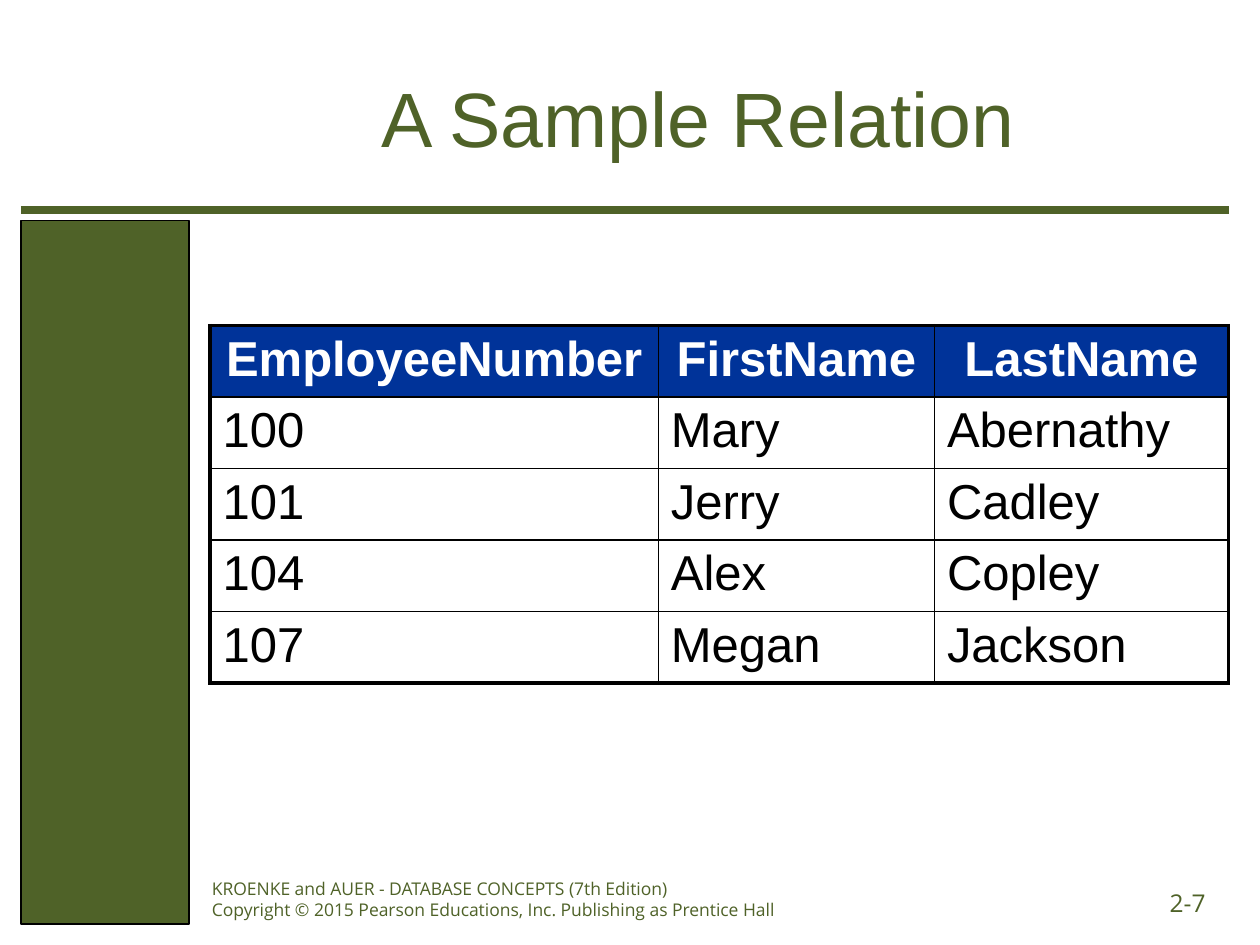
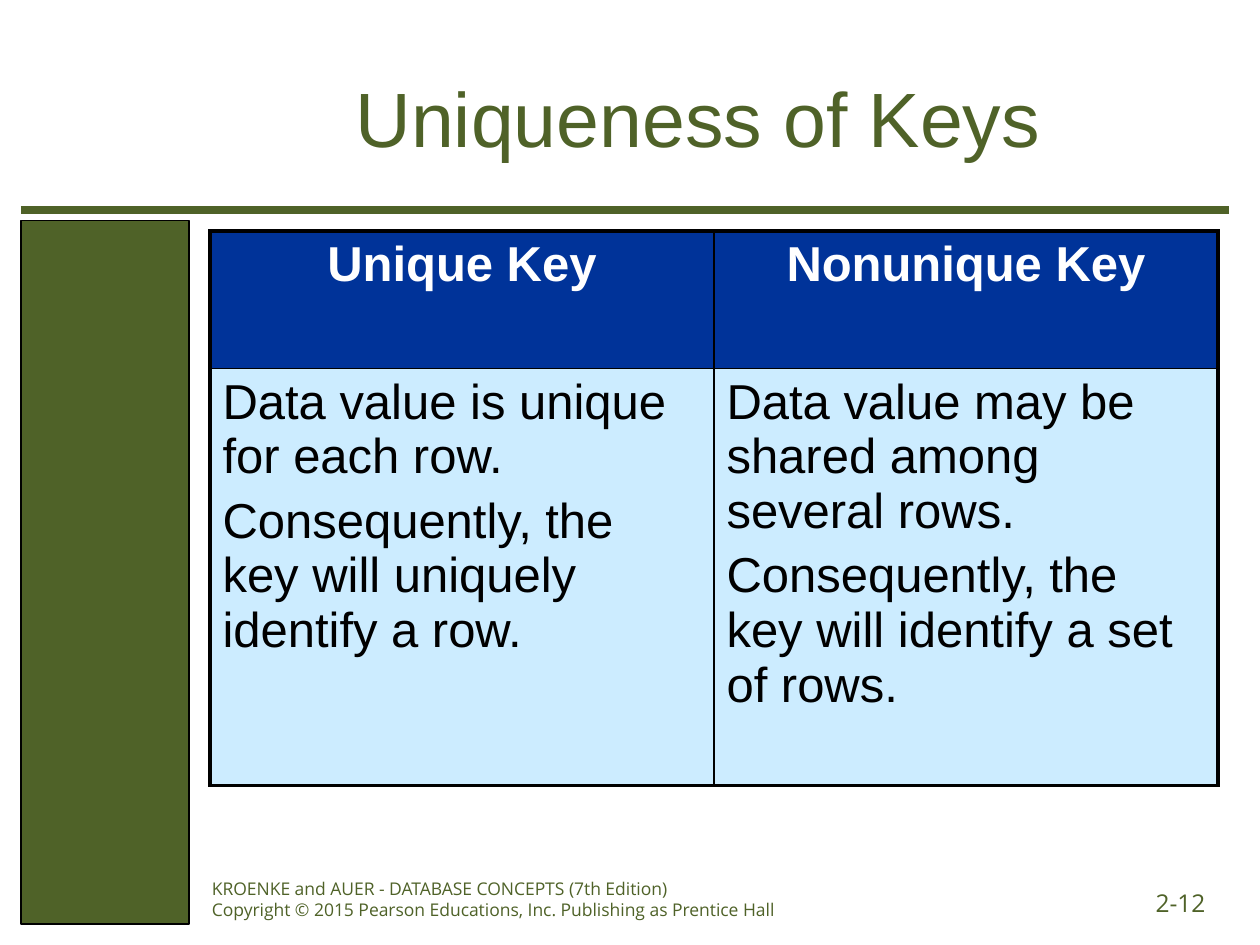
from dataclasses import dataclass
from typing import Any

from lxml.etree import SubElement
from pptx import Presentation
from pptx.dml.color import RGBColor
from pptx.enum.shapes import MSO_CONNECTOR as Connector, MSO_SHAPE as Shape
from pptx.enum.text import MSO_ANCHOR as Anchor, MSO_AUTO_SIZE as AutoSize, PP_ALIGN as Align
from pptx.oxml.ns import qn
from pptx.util import Inches, Pt

UNIT = Inches(10) / 120
GREEN, NAVY, SKY, WHITE, BLACK = "4F6228", "003399", "CCECFF", "FFFFFF", "000000"
OUTER_BORDER, INNER_BORDER = 2.25, 1
TITLE_ONLY = 5
FOOTER = (
    "KROENKE and AUER - DATABASE CONCEPTS (7th Edition)\v"
    "Copyright © 2015 Pearson Educations, Inc. Publishing as Prentice Hall"
)


@dataclass(frozen=True)
class Area:
    left: float
    top: float
    width: float
    height: float

    def lengths(self) -> tuple[int, ...]:
        return tuple(grid(n) for n in (self.left, self.top, self.width, self.height))


@dataclass(frozen=True)
class TextStyle:
    size: float
    name: str
    ink: str
    bold: bool = False
    align: Any = Align.LEFT
    space_before: float = 0


@dataclass(frozen=True)
class TableSlide:
    title: str
    number: str
    top: float
    columns: list[float]
    heights: list[float]
    rows: list[list[str]]
    body_fill: str | None = None


BAND = Area(2, 21, 16, 67)
TITLE = Area(19, 3.6, 95, 15)
NUMBER = Area(103, 84, 13, 4.2)
CREDIT = Area(19, 83, 68, 5.3)
RULE_TOP, RULE_START, RULE_END = 20, 2, 117
TABLE_LEFT = 20

TITLE_STYLE = TextStyle(44, "Arial", GREEN, align=Align.CENTER)
NUMBER_STYLE = TextStyle(14, "Open Sans", GREEN, align=Align.RIGHT)
CREDIT_STYLE = TextStyle(10, "Open Sans", GREEN)
HEADER_STYLE = TextStyle(28, "Arial", WHITE, True, Align.CENTER)
BODY_STYLE = TextStyle(28, "Arial", BLACK, space_before=5.6)

SLIDES = [
    TableSlide(
        "A Sample Relation", "2-7", 31, [42.7, 26.3, 28], [6.4] * 5,
        [
            ["EmployeeNumber", "FirstName", "LastName"],
            ["100", "Mary", "Abernathy"],
            ["101", "Jerry", "Cadley"],
            ["104", "Alex", "Copley"],
            ["107", "Megan", "Jackson"],
        ],
    ),
    TableSlide(
        "Uniqueness of Keys", "2-12", 22, [48, 48], [13.1, 39.7],
        [
            ["Unique Key", "Nonunique Key"],
            [
                "Data value is unique for each row.\n"
                "Consequently, the key will uniquely identify a row.",
                "Data value may be shared among several rows.\n"
                "Consequently, the key will identify a set of rows.",
            ],
        ],
        SKY,
    ),
]


def grid(count: float) -> int:
    return round(count * UNIT)


def color(value: str) -> RGBColor:
    return RGBColor.from_string(value)


def write(frame: Any, text: str, style: TextStyle) -> None:
    frame.text = text
    formats = {"size": Pt(style.size), "name": style.name, "bold": style.bold}
    for index, para in enumerate(frame.paragraphs):
        para.alignment = style.align
        para.space_before = Pt(style.space_before if index else 0)
        for span in para.runs:
            for key, value in formats.items():
                setattr(span.font, key, value)
            span.font.color.rgb = color(style.ink)


def add_label(page: Any, area: Area, text: str, style: TextStyle) -> None:
    box = page.shapes.add_textbox(*area.lengths())
    box.text_frame.word_wrap = True
    write(box.text_frame, text, style)


def add_frame(page: Any) -> None:
    band = page.shapes.add_shape(Shape.RECTANGLE, *BAND.lengths())
    band.shadow.inherit = False
    band.fill.solid()
    band.fill.fore_color.rgb = color(GREEN)
    band.line.color.rgb = color(BLACK)
    band.line.width = Pt(0.75)
    rule = page.shapes.add_connector(
        Connector.STRAIGHT, grid(RULE_START), grid(RULE_TOP), grid(RULE_END), grid(RULE_TOP)
    )
    rule.line.color.rgb = color(GREEN)
    rule.line.width = Pt(5)
    SubElement(rule._element.spPr, qn("a:effectLst"))


def add_title(page: Any, text: str) -> None:
    title = page.shapes.title
    for key, value in zip(("left", "top", "width", "height"), TITLE.lengths()):
        setattr(title, key, value)
    frame = title.text_frame
    for key, value in {
        "word_wrap": True,
        "auto_size": AutoSize.NONE,
        "vertical_anchor": Anchor.MIDDLE,
    }.items():
        setattr(frame, key, value)
    write(frame, text, TITLE_STYLE)


def set_borders(cell: Any, outer_sides: dict[str, bool]) -> None:
    properties = cell._tc.get_or_add_tcPr()
    for side, is_outer in outer_sides.items():
        width = Pt(OUTER_BORDER if is_outer else INNER_BORDER)
        line = SubElement(properties, qn(f"a:ln{side}"), w=str(int(width)))
        fill = SubElement(line, qn("a:solidFill"))
        SubElement(fill, qn("a:srgbClr"), val=BLACK)


def add_data_table(page: Any, content: TableSlide) -> None:
    row_count, column_count = len(content.rows), len(content.columns)
    area = Area(TABLE_LEFT, content.top, sum(content.columns), sum(content.heights))
    table = page.shapes.add_table(row_count, column_count, *area.lengths()).table
    table.first_row = table.horz_banding = False
    for column, width in zip(table.columns, content.columns):
        column.width = grid(width)
    for row, height in zip(table.rows, content.heights):
        row.height = grid(height)
    for r, texts in enumerate(content.rows):
        for c, text in enumerate(texts):
            cell = table.cell(r, c)
            set_borders(cell, {
                "L": c == 0, "R": c == column_count - 1,
                "T": r == 0, "B": r == row_count - 1,
            })
            fill = content.body_fill if r else NAVY
            if fill:
                cell.fill.solid()
                cell.fill.fore_color.rgb = color(fill)
            else:
                cell.fill.background()
            write(cell.text_frame, text, BODY_STYLE if r else HEADER_STYLE)


def main() -> None:
    deck = Presentation()
    deck.slide_width, deck.slide_height = grid(120), grid(90)
    for content in SLIDES:
        page = deck.slides.add_slide(deck.slide_layouts[TITLE_ONLY])
        add_frame(page)
        add_title(page, content.title)
        add_label(page, NUMBER, content.number, NUMBER_STYLE)
        add_data_table(page, content)
        add_label(page, CREDIT, FOOTER, CREDIT_STYLE)
    deck.save("out.pptx")


if __name__ == "__main__":
    main()
